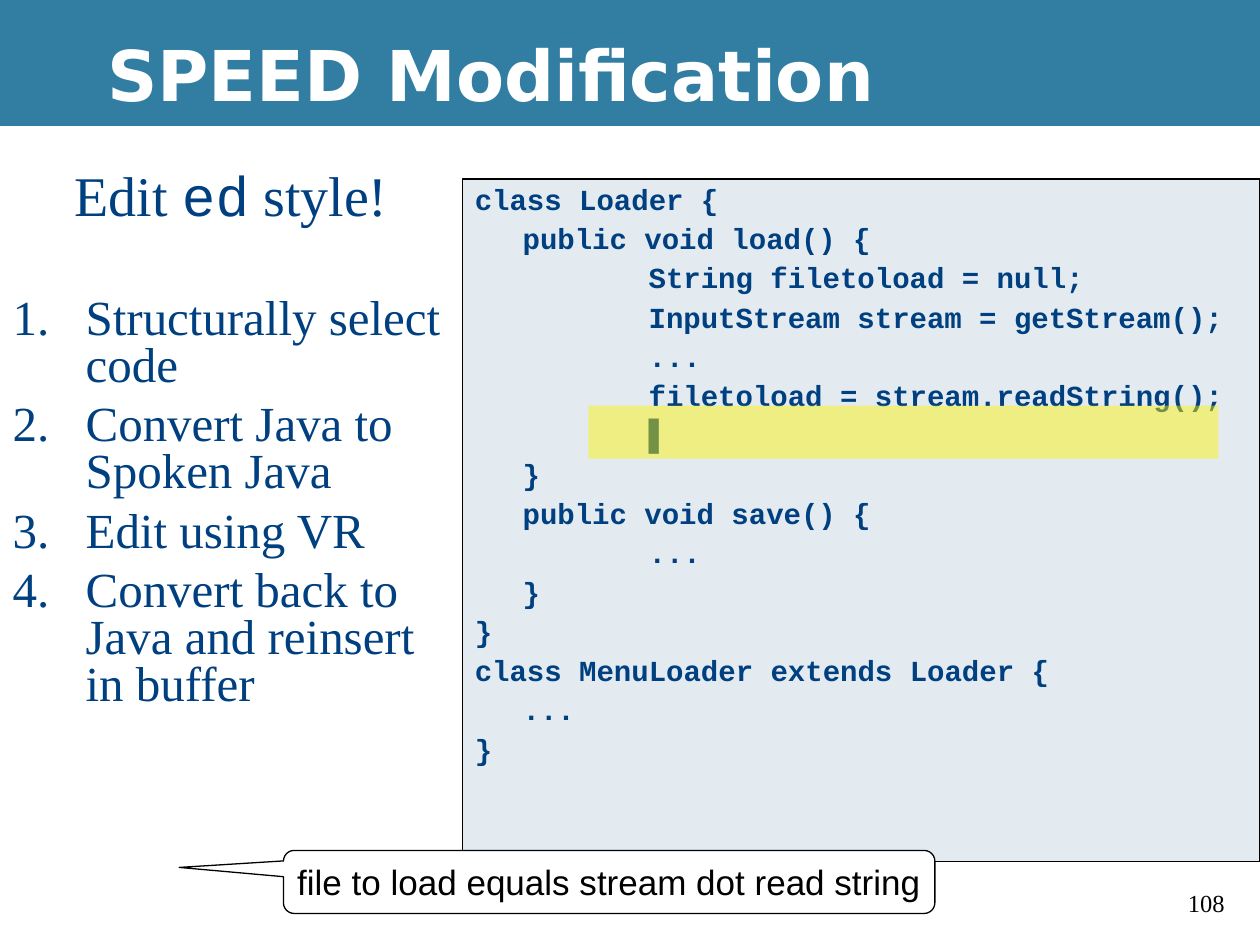
from pptx import Presentation
from pptx.dml.color import RGBColor
from pptx.enum.shapes import MSO_SHAPE as Shape
from pptx.enum.text import MSO_ANCHOR as Anchor, MSO_AUTO_SIZE as AutoSize, PP_ALIGN as Align
from pptx.oxml.ns import qn
from pptx.util import Inches, Pt
from lxml.etree import SubElement

COLORS = {
    "white": "FFFFFF", "black": "000000", "banner": "327EA3",
    "navy": "004080", "panel": "E3EBF1", "marker": "FDF300",
}
TITLE = {"name": "DejaVu Sans", "size": Pt(40), "bold": True, "color": "white"}
HEADING = {"name": "Times New Roman", "size": Pt(32), "color": "navy"}
STEP = {**HEADING, "size": Pt(28)}
CODE = {"name": "Courier New", "size": Pt(16.6), "bold": True, "color": "navy"}
SPEECH = {"name": "Arial", "size": Pt(20), "color": "black"}
NUMBER = {"name": "Times New Roman", "size": Pt(14), "color": "black"}

STEPS = [
    "Structurally select code",
    "Convert Java to Spoken Java",
    "Edit using VR",
    "Convert back to Java and reinsert in buffer",
]
CODE_INDENTS = [0, 0.38, 1.38]
CODE_LINES = [
    (0, "class Loader {"),
    (1, "public void load() {"),
    (2, "String filetoload = null;"),
    (2, "InputStream stream = getStream();"),
    (2, "..."),
    (2, "filetoload = stream.readString();"),
    (2, "▌"),
    (1, "}"),
    (1, "public void save() {"),
    (2, "..."),
    (1, "}"),
    (0, "}"),
    (0, "class MenuLoader extends Loader {"),
    (1, "..."),
    (0, "}"),
]


class SlideBuilder:
    """Hold the slide being built and the style of its elements."""

    def __init__(self, presentation):
        self.slide = presentation.slides.add_slide(presentation.slide_layouts[1])
        self.shapes = self.slide.shapes

    def color(self, name):
        return RGBColor.from_string(COLORS[name])

    def box(self, kind, bounds, fill, line=None, alpha=None):
        shape = self.shapes.add_shape(kind, *map(Inches, bounds))
        shape.shadow.inherit = False
        shape.fill.solid()
        shape.fill.fore_color.rgb = self.color(fill)
        if alpha:
            color = shape.fill._xPr.find(f"{qn('a:solidFill')}/{qn('a:srgbClr')}")
            SubElement(color, qn("a:alpha"), val=str(alpha * 1000))
        if line:
            shape.line.color.rgb = self.color(line)
            shape.line.width = Pt(0.75)
        else:
            shape.line.fill.background()
        return shape

    def placeholder(self, index, bounds):
        shape = self.slide.placeholders[index]
        shape.left, shape.top, shape.width, shape.height = map(Inches, bounds)
        self.shapes.element.append(shape.element)
        return shape

    def frame(self, shape, anchor=Anchor.TOP, wrap=True):
        frame = shape.text_frame
        values = {"word_wrap": wrap, "auto_size": AutoSize.NONE, "vertical_anchor": anchor}
        for name, value in values.items():
            setattr(frame, name, value)
        return frame

    def paragraph(self, frame, runs, style, first=False, margin=0, hanging=0,
                  numbered=False, **layout):
        paragraph = frame.paragraphs[0] if first else frame.add_paragraph()
        properties = paragraph._p.get_or_add_pPr()
        properties.set("marL", str(Inches(margin)))
        properties.set("indent", str(-Inches(hanging)))
        if numbered:
            bullet_color = SubElement(properties, qn("a:buClr"))
            SubElement(bullet_color, qn("a:srgbClr"), val=COLORS["navy"])
            SubElement(properties, qn("a:buAutoNum"), type="arabicPeriod")
        else:
            SubElement(properties, qn("a:buNone"))
        values = {"alignment": Align.LEFT, "space_before": Pt(0), "space_after": Pt(0), **layout}
        for name, value in values.items():
            setattr(paragraph, name, value)
        for text, changes in runs:
            run = paragraph.add_run()
            run.text = text
            for name, value in {**style, **changes}.items():
                if name == "color":
                    run.font.color.rgb = self.color(value)
                else:
                    setattr(run.font, name, value)

    def title(self, text, bounds):
        frame = self.frame(self.placeholder(0, bounds), Anchor.MIDDLE)
        self.paragraph(frame, [(text, {})], TITLE, first=True)

    def steps(self, heading, items, bounds):
        frame = self.frame(self.placeholder(1, bounds))
        self.paragraph(frame, heading, HEADING, first=True,
                       alignment=Align.CENTER, line_spacing=0.8)
        for index, item in enumerate(items):
            self.paragraph(frame, [(item, {})], STEP, margin=0.58, hanging=0.58,
                           numbered=True, line_spacing=0.8,
                           space_before=Pt(7 if index else 40))

    def code(self, lines, bounds):
        frame = self.frame(self.box(Shape.RECTANGLE, bounds, "panel", "black"))
        for index, (level, text) in enumerate(lines):
            changes = {"name": "Arial"} if text == "▌" else {}
            self.paragraph(frame, [(text, changes)], CODE, first=index == 0,
                           margin=CODE_INDENTS[level], line_spacing=0.9,
                           space_before=Pt(4.5 if index else 0))

    def callout(self, text, bounds, adjustments):
        shape = self.box(Shape.ROUNDED_RECTANGULAR_CALLOUT, bounds, "white", "black")
        for index, value in enumerate(adjustments):
            shape.adjustments[index] = value
        frame = self.frame(shape, Anchor.MIDDLE, wrap=False)
        self.paragraph(frame, [(text, {})], SPEECH, first=True, alignment=Align.CENTER)

    def page_number(self, text, bounds):
        frame = self.frame(self.shapes.add_textbox(*map(Inches, bounds)))
        self.paragraph(frame, [(text, {})], NUMBER, first=True)


def main():
    presentation = Presentation()
    presentation.slide_width, presentation.slide_height = Inches(10), Inches(7.5)
    builder = SlideBuilder(presentation)
    builder.box(Shape.RECTANGLE, (0, 1, 10, 6.5), "white")
    builder.box(Shape.RECTANGLE, (0, 0, 10, 1), "banner")
    builder.page_number("108", (9.33, 7, 0.5, 0.34))
    builder.title("SPEED Modification", (0.75, 0.08, 9.25, 1))
    heading = [("Edit ", {}), ("ed", {"name": "Courier New"}), (" style!", {})]
    builder.steps(heading, STEPS, (0, 1.33, 3.67, 4.83))
    builder.code(CODE_LINES, (3.67, 1.42, 6.33, 5.42))
    builder.box(Shape.RECTANGLE, (4.67, 3.22, 5, 0.42), "marker", alpha=46)
    builder.callout("file to load equals stream dot read string",
                    (2.25, 6.75, 5.17, 0.5), (-0.66, -0.23, 0.17))
    presentation.save("out.pptx")


if __name__ == "__main__":
    main()
